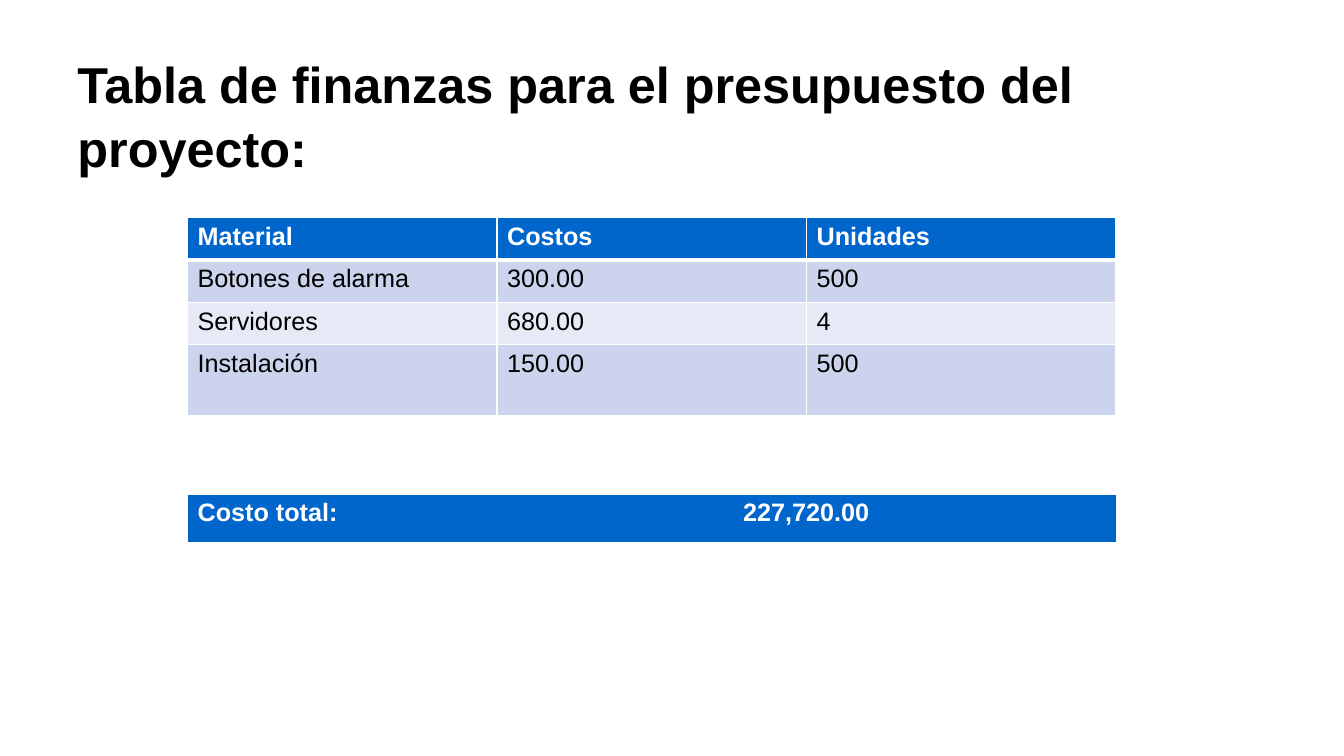
import pptx
import pptx.util
import pptx.dml.color
import pptx.enum.text
from lxml import etree
from pptx.oxml.ns import qn
from pptx.util import Inches


def color(value):
    return pptx.dml.color.RGBColor.from_string(value)


class BudgetSlide:
    """Holds the style and the current slide, and adds its elements."""

    font = "Arial"
    black, white, blue = "000000", "FFFFFF", "0066CC"
    bands = ("CCD3EC", "E7EAF6")

    def __init__(self, deck):
        self.slide = deck.slides.add_slide(deck.slide_layouts[6])

    def add_text(self, paragraph, text, size, ink, bold):
        run = paragraph.add_run()
        run.text = text
        run.font.name = self.font
        run.font.size = pptx.util.Pt(size)
        run.font.bold = bold
        run.font.color.rgb = color(ink)

    def title(self, text, left, top, width, height):
        heading = self.slide.shapes.add_textbox(
            Inches(left), Inches(top), Inches(width), Inches(height))
        frame = heading.text_frame
        frame.word_wrap = True
        frame.vertical_anchor = pptx.enum.text.MSO_ANCHOR.MIDDLE
        frame.paragraphs[0].line_spacing = 1.05
        self.add_text(frame.paragraphs[0], text, 36, self.black, True)

    def border(self, cell, bottom):
        properties = cell._tc.get_or_add_tcPr()
        widths = {"a:lnL": 1, "a:lnR": 1, "a:lnT": 1, "a:lnB": bottom}
        for position, (side, width) in enumerate(widths.items()):
            line = etree.Element(qn(side), w=str(pptx.util.Pt(width)))
            fill = etree.SubElement(line, qn("a:solidFill"))
            etree.SubElement(fill, qn("a:srgbClr"), val=self.white)
            properties.insert(position, line)

    def table(self, rows, left, top, width, heights):
        columns = len(rows[0])
        grid = self.slide.shapes.add_table(
            len(rows), columns, Inches(left), Inches(top),
            Inches(width), Inches(sum(heights))).table
        for column in grid.columns:
            column.width = Inches(width / columns)
        for index, (values, height) in enumerate(zip(rows, heights)):
            grid.rows[index].height = Inches(height)
            header = index == 0
            for cell, value in zip(grid.rows[index].cells, values):
                cell.fill.solid()
                cell.fill.fore_color.rgb = color(
                    self.blue if header else self.bands[(index - 1) % 2])
                self.border(cell, 3 if header else 1)
                self.add_text(cell.text_frame.paragraphs[0], value, 18,
                              self.white if header else self.black, header)
        return grid

    def tab_stop(self, paragraph, position):
        properties = paragraph._p.get_or_add_pPr()
        stops = etree.SubElement(properties, qn("a:tabLst"))
        etree.SubElement(stops, qn("a:tab"), pos=str(Inches(position)), algn="l")


def main():
    deck = pptx.Presentation()
    deck.slide_width, deck.slide_height = Inches(13.33), Inches(7.5)
    budget = BudgetSlide(deck)
    budget.title("Tabla de finanzas para el presupuesto del proyecto:",
                 0.67, 0.57, 12, 1.12)
    materials = [
        ("Material", "Costos", "Unidades"),
        ("Botones de alarma", "300.00", "500"),
        ("Servidores", "680.00", "4"),
        ("Instalación", "150.00", "500"),
    ]
    budget.table(materials, 1.86, 2.16, 9.21, [0.42, 0.42, 0.42, 0.7])
    total = budget.table([("Costo total:\t227,720.00",)], 1.86, 4.9, 9.21, [0.5])
    budget.tab_stop(total.cell(0, 0).text_frame.paragraphs[0], 5.41)
    deck.save("out.pptx")


if __name__ == "__main__":
    main()
